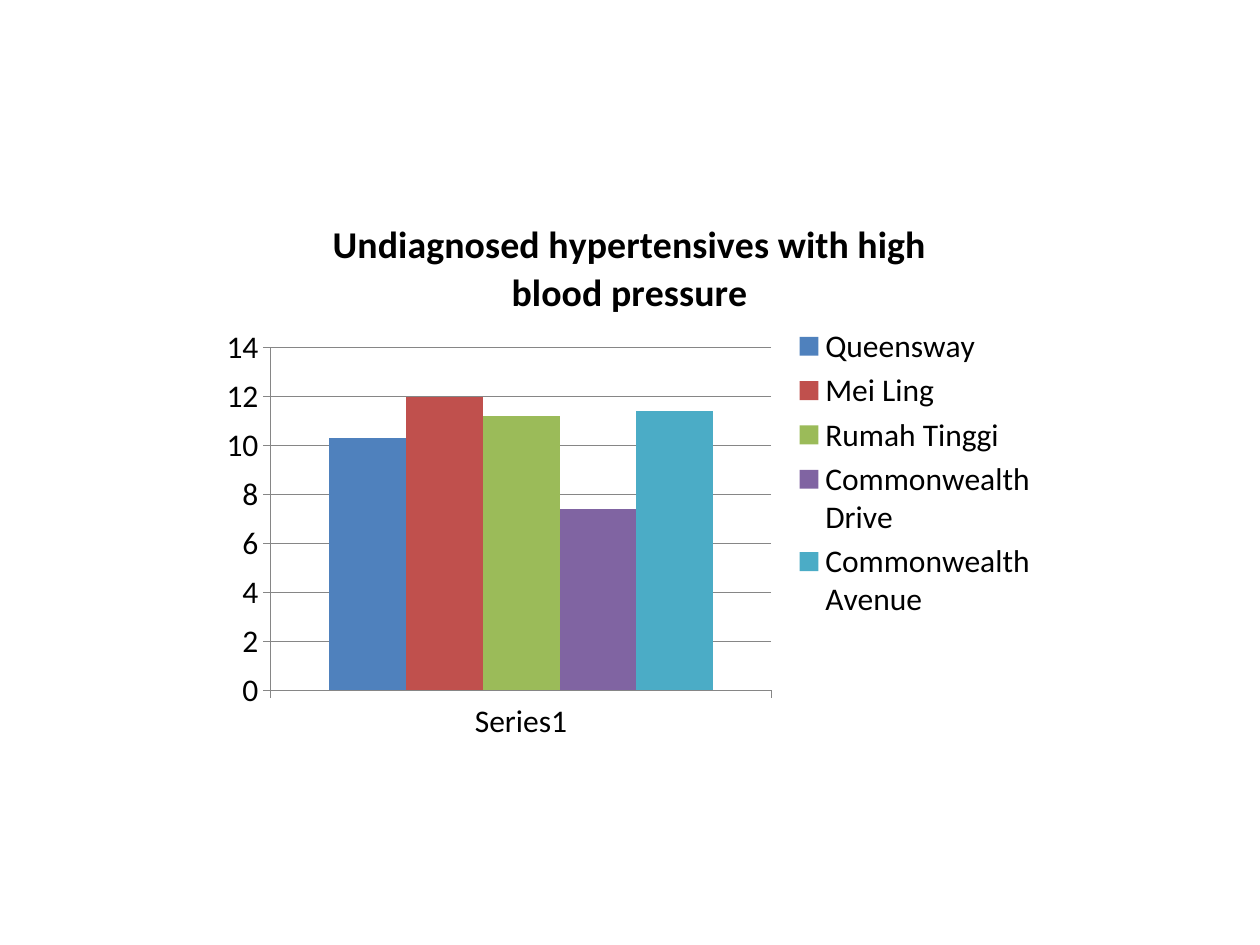
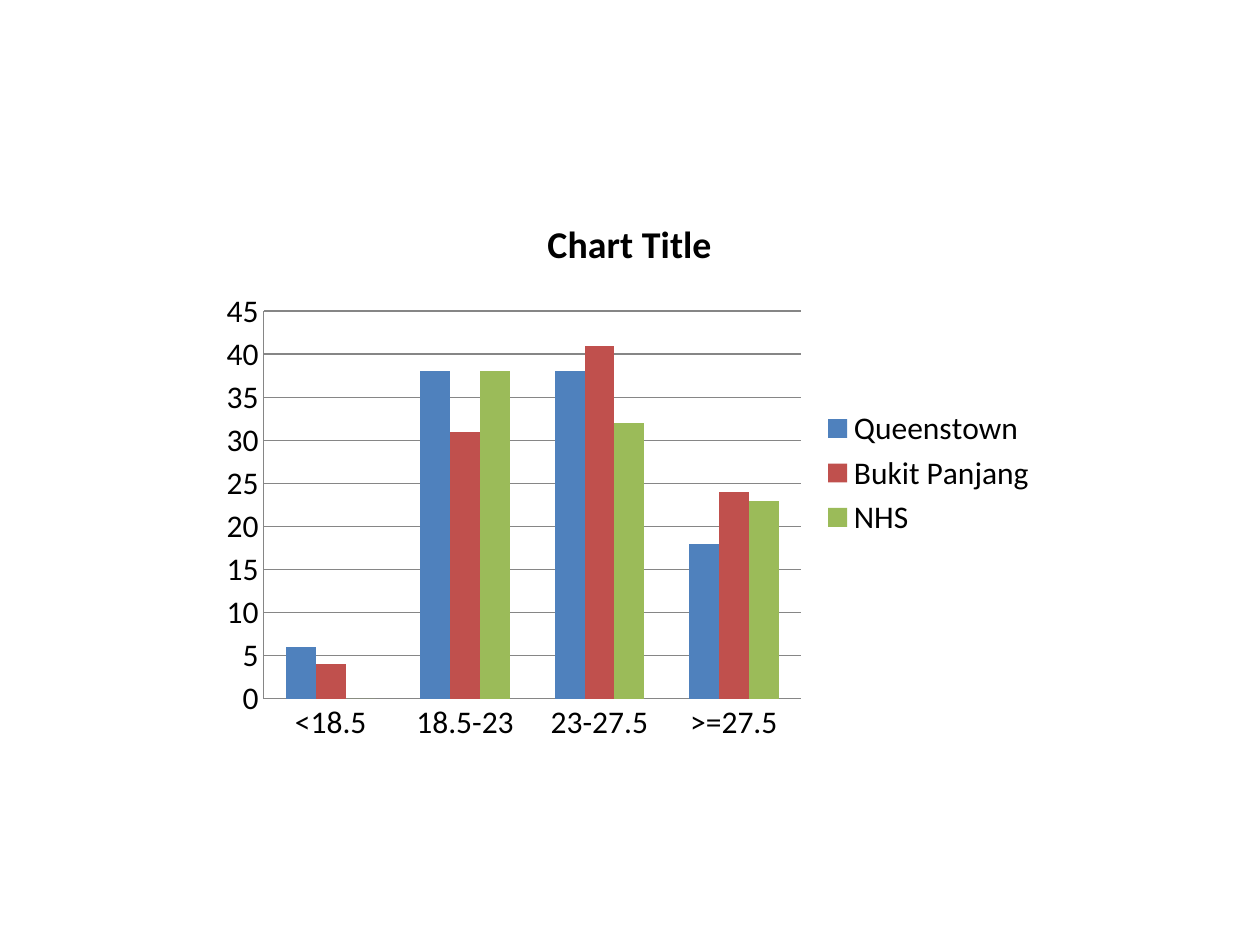
from lxml import etree
from pptx import Presentation
from pptx.chart.data import CategoryChartData
from pptx.dml.color import RGBColor
from pptx.enum.chart import XL_CHART_TYPE, XL_LEGEND_POSITION, XL_TICK_MARK
from pptx.oxml.ns import qn
from pptx.util import Cm, Pt

CLUSTERED = XL_CHART_TYPE.COLUMN_CLUSTERED
LEGEND_RIGHT = XL_LEGEND_POSITION.RIGHT
TICK_OUTSIDE = XL_TICK_MARK.OUTSIDE
TICK_NONE = XL_TICK_MARK.NONE

FONT = "Calibri"
COLORS = {"text": "000000", "line": "868686"}
SERIES_COLORS = {
    "blue": "4F81BD",
    "red": "C0504D",
    "green": "9BBB59",
    "purple": "8064A2",
    "aqua": "4BACC6",
}
CHART_BOX = (Cm(4.23), Cm(3.89), Cm(16.93), Cm(11.29))
PRESSURE_PLOT_BOX = (Cm(1.23), Cm(3.12), Cm(10.09), Cm(6.91))
PRESSURE_LEGEND_BOX = (Cm(11.73), Cm(2.58), Cm(4.96), Cm(6.13))
BLANK_LAYOUT = 6


def style_font(font, size, bold=False):
    font.name = FONT
    font.size = Pt(size)
    font.bold = bold
    font.color.rgb = RGBColor.from_string(COLORS["text"])


def style_line(line):
    line.color.rgb = RGBColor.from_string(COLORS["line"])
    line.width = Pt(0.75)


def style_title(chart, title):
    chart.has_title = True
    chart.chart_title.include_in_layout = False
    paragraph = chart.chart_title.text_frame.paragraphs[0]
    paragraph.text = title
    style_font(paragraph.font, 21.6, bold=True)


def style_axes(chart, tick_mark):
    for axis in (chart.category_axis, chart.value_axis):
        axis.major_tick_mark = tick_mark
        axis.minor_tick_mark = TICK_NONE
        style_line(axis.format.line)
    chart.value_axis.has_major_gridlines = True
    style_line(chart.value_axis.major_gridlines.format.line)


def style_legend(chart):
    chart.has_legend = True
    chart.legend.position = LEGEND_RIGHT
    chart.legend.include_in_layout = False


def style_columns(chart):
    plot = chart.plots[0]
    plot.gap_width = 150
    plot.vary_by_categories = False
    for series, color in zip(plot.series, SERIES_COLORS.values()):
        series.format.fill.solid()
        series.format.fill.fore_color.rgb = RGBColor.from_string(color)


def place_part(part, part_box, chart_box, previous_tag=None, inner=False):
    for old_layout in part.findall(qn("c:layout")):
        part.remove(old_layout)
    layout = etree.Element(qn("c:layout"))
    manual = etree.SubElement(layout, qn("c:manualLayout"))
    settings = [("layoutTarget", "inner")] if inner else []
    settings += [("xMode", "edge"), ("yMode", "edge")]
    left, top, width, height = part_box
    chart_width, chart_height = chart_box[2:]
    settings += [
        ("x", left / chart_width),
        ("y", top / chart_height),
        ("w", width / chart_width),
        ("h", height / chart_height),
    ]
    for name, value in settings:
        etree.SubElement(manual, qn(f"c:{name}")).set("val", str(value))
    if previous_tag:
        part.find(qn(previous_tag)).addnext(layout)
    else:
        part.insert(0, layout)


def add_chart_slide(presentation, box, title, categories, series_values, tick_mark):
    slide = presentation.slides.add_slide(presentation.slide_layouts[BLANK_LAYOUT])
    chart_data = CategoryChartData()
    chart_data.categories = categories
    for name, values in series_values.items():
        chart_data.add_series(name, values)
    chart = slide.shapes.add_chart(CLUSTERED, *box, chart_data).chart
    style_font(chart.font, 18)
    style_title(chart, title)
    style_axes(chart, tick_mark)
    style_legend(chart)
    style_columns(chart)
    return chart


def add_pressure_slide(presentation, box):
    chart = add_chart_slide(
        presentation,
        box,
        "Undiagnosed hypertensives with high blood pressure",
        ["Series1"],
        {
            "Queensway": [10.3],
            "Mei Ling": [12],
            "Rumah Tinggi": [11.2],
            "Commonwealth Drive": [7.4],
            "Commonwealth Avenue": [11.4],
        },
        TICK_OUTSIDE,
    )
    chart_element = chart.element.find(qn("c:chart"))
    plot_area = chart_element.find(qn("c:plotArea"))
    legend = chart_element.find(qn("c:legend"))
    place_part(plot_area, PRESSURE_PLOT_BOX, box, inner=True)
    place_part(legend, PRESSURE_LEGEND_BOX, box, previous_tag="c:legendPos")


def add_body_mass_slide(presentation, box):
    add_chart_slide(
        presentation,
        box,
        "Chart Title",
        ["<18.5", "18.5-23", "23-27.5", ">=27.5"],
        {
            "Queenstown": [6, 38, 38, 18],
            "Bukit Panjang": [4, 31, 41, 24],
            "NHS": [0, 38, 32, 23],
        },
        TICK_NONE,
    )


def main():
    presentation = Presentation()
    presentation.slide_width = Cm(25.4)
    presentation.slide_height = Cm(19.05)
    add_pressure_slide(presentation, CHART_BOX)
    add_body_mass_slide(presentation, CHART_BOX)
    presentation.save("out.pptx")


if __name__ == "__main__":
    main()
